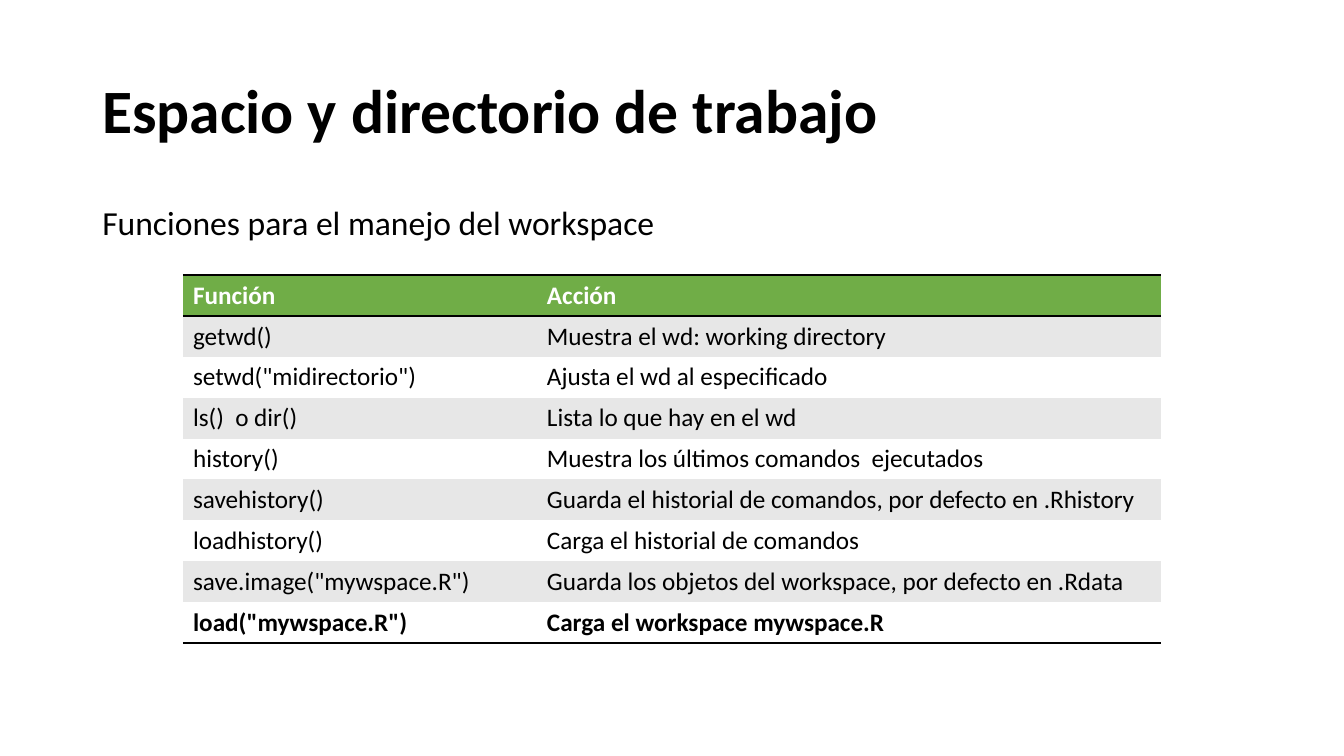
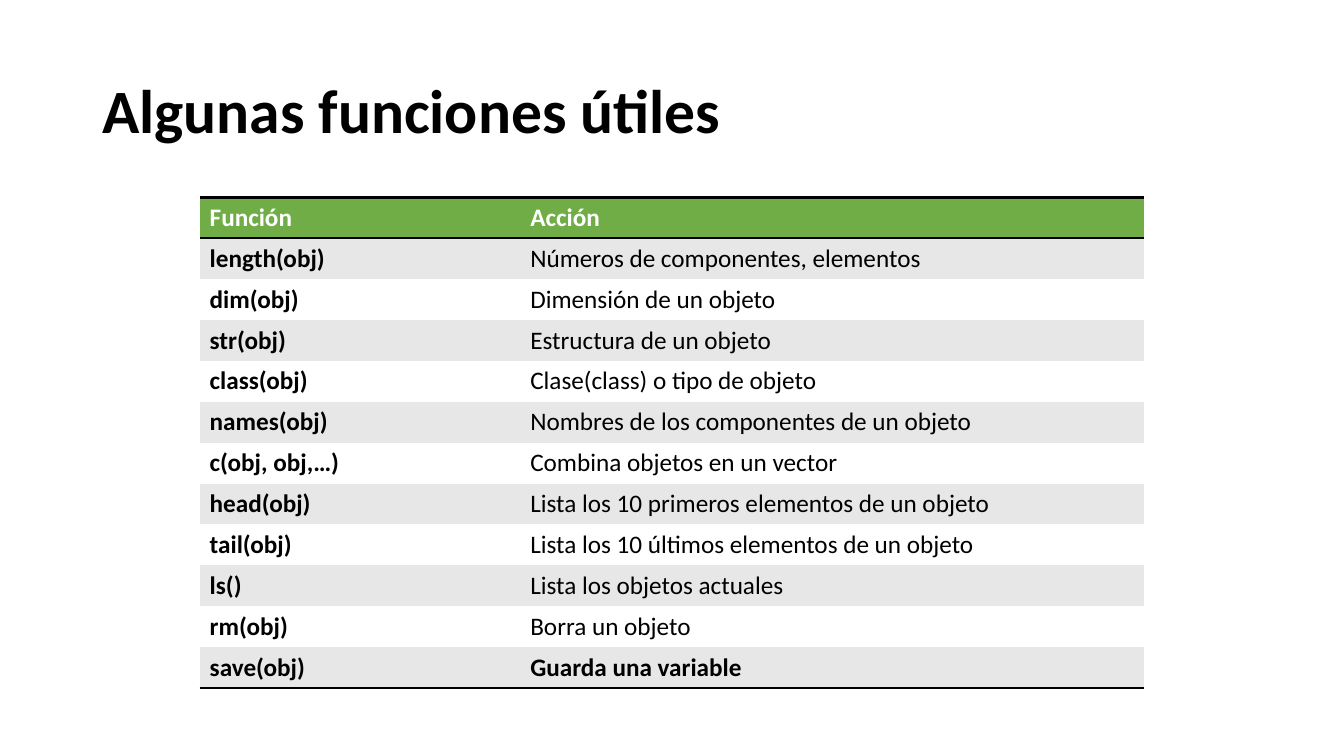
from lxml import etree
from pptx import Presentation
from pptx.dml.color import RGBColor
from pptx.enum.text import MSO_ANCHOR
from pptx.oxml.ns import qn
from pptx.util import Pt

MIDDLE = MSO_ANCHOR.MIDDLE
TOP = MSO_ANCHOR.TOP
BLACK = RGBColor(0x00, 0x00, 0x00)
WHITE = RGBColor(0xFF, 0xFF, 0xFF)
GREEN = RGBColor(0x70, 0xAD, 0x47)
GRAY = RGBColor(0xE7, 0xE7, 0xE7)

SLIDE_WIDTH, SLIDE_HEIGHT = 960, 540
MARGIN = 66
ROW_HEIGHT = 29.2
RULE_WIDTH = 2
ACTION_WIDTH = 445.8
HEADINGS = ("Función", "Acción")

WORKSPACE_FUNCTIONS = [
    ("getwd()", "Muestra el wd: working directory"),
    ('setwd("midirectorio")', "Ajusta el wd al especificado"),
    ("ls()  o dir()", "Lista lo que hay en el wd"),
    ("history()", "Muestra los últimos comandos  ejecutados"),
    ("savehistory()", "Guarda el historial de comandos, por defecto en .Rhistory"),
    ("loadhistory()", "Carga el historial de comandos"),
    ('save.image("mywspace.R")', "Guarda los objetos del workspace, por defecto en .Rdata"),
    ('load("mywspace.R")', "Carga el workspace mywspace.R"),
]

USEFUL_FUNCTIONS = [
    ("length(obj)", "Números de componentes, elementos"),
    ("dim(obj)", "Dimensión de un objeto"),
    ("str(obj)", "Estructura de un objeto"),
    ("class(obj)", "Clase(class) o tipo de objeto"),
    ("names(obj)", "Nombres de los componentes de un objeto"),
    ("c(obj, obj,…)", "Combina objetos en un vector"),
    ("head(obj)", "Lista los 10 primeros elementos de un objeto"),
    ("tail(obj)", "Lista los 10 últimos elementos de un objeto"),
    ("ls()", "Lista los objetos actuales"),
    ("rm(obj)", "Borra un objeto"),
    ("save(obj)", "Guarda una variable"),
]


class Deck:
    """Hold the shared style and the current slide."""

    def __init__(self):
        self.presentation = Presentation()
        self.presentation.slide_width = Pt(SLIDE_WIDTH)
        self.presentation.slide_height = Pt(SLIDE_HEIGHT)
        self.slide = None

    def start(self, title):
        self.slide = self.presentation.slides.add_slide(self.presentation.slide_layouts[6])
        self.text(title, 28.8, 104.4, MIDDLE, size=44, bold=True)

    def subtitle(self, words):
        self.text(words, 144, 41.8, TOP, space_before=10, size=24)

    def text(self, words, top, height, anchor, space_before=0, **font):
        box = self.slide.shapes.add_textbox(
            Pt(MARGIN), Pt(top), Pt(SLIDE_WIDTH - 2 * MARGIN), Pt(height))
        frame = box.text_frame
        frame.word_wrap = True
        frame.vertical_anchor = anchor
        paragraph = frame.paragraphs[0]
        paragraph.line_spacing = 0.9
        paragraph.space_before = Pt(space_before)
        self.styled_run(paragraph, words, **font)

    def styled_run(self, paragraph, words, size, bold=False, color=BLACK):
        run = paragraph.add_run()
        run.text = words
        run.font.color.rgb = color
        for name, value in {"name": "Calibri", "size": Pt(size), "bold": bold}.items():
            setattr(run.font, name, value)

    def function_table(self, functions, top, function_width, bold_functions=False):
        rows = [HEADINGS, *functions]
        last = len(rows) - 1
        widths = (function_width, ACTION_WIDTH)
        table = self.slide.shapes.add_table(
            len(rows), len(widths), Pt((SLIDE_WIDTH - sum(widths)) / 2), Pt(top),
            Pt(sum(widths)), Pt(ROW_HEIGHT * len(rows))).table
        table.horz_banding = False
        for column, width in zip(table.columns, widths):
            column.width = Pt(width)
        for r, row in enumerate(rows):
            table.rows[r].height = Pt(ROW_HEIGHT)
            header = r == 0
            fill = GREEN if header else (GRAY if r % 2 else WHITE)
            for c, words in enumerate(row):
                cell = table.cell(r, c)
                self.borders(cell, above=r in (0, 1), below=r in (0, last))
                cell.fill.solid()
                cell.fill.fore_color.rgb = fill
                self.styled_run(
                    cell.text_frame.paragraphs[0], words, size=18,
                    bold=r in (0, last) or (bold_functions and c == 0),
                    color=WHITE if header else BLACK)

    def borders(self, cell, above, below):
        properties = cell._tc.get_or_add_tcPr()
        for side, ruled in {"L": False, "R": False, "T": above, "B": below}.items():
            line = etree.SubElement(properties, qn(f"a:ln{side}"))
            if ruled:
                line.set("w", str(Pt(RULE_WIDTH)))
                solid = etree.SubElement(line, qn("a:solidFill"))
                etree.SubElement(solid, qn("a:srgbClr"), val=str(BLACK))
            else:
                etree.SubElement(line, qn("a:noFill"))


def main():
    deck = Deck()
    deck.start("Espacio y directorio de trabajo")
    deck.subtitle("Funciones para el manejo del workspace")
    deck.function_table(WORKSPACE_FUNCTIONS, 196.5, 252.8)

    deck.start("Algunas funciones útiles")
    deck.function_table(USEFUL_FUNCTIONS, 141, 229, bold_functions=True)
    deck.presentation.save("out.pptx")


if __name__ == "__main__":
    main()
